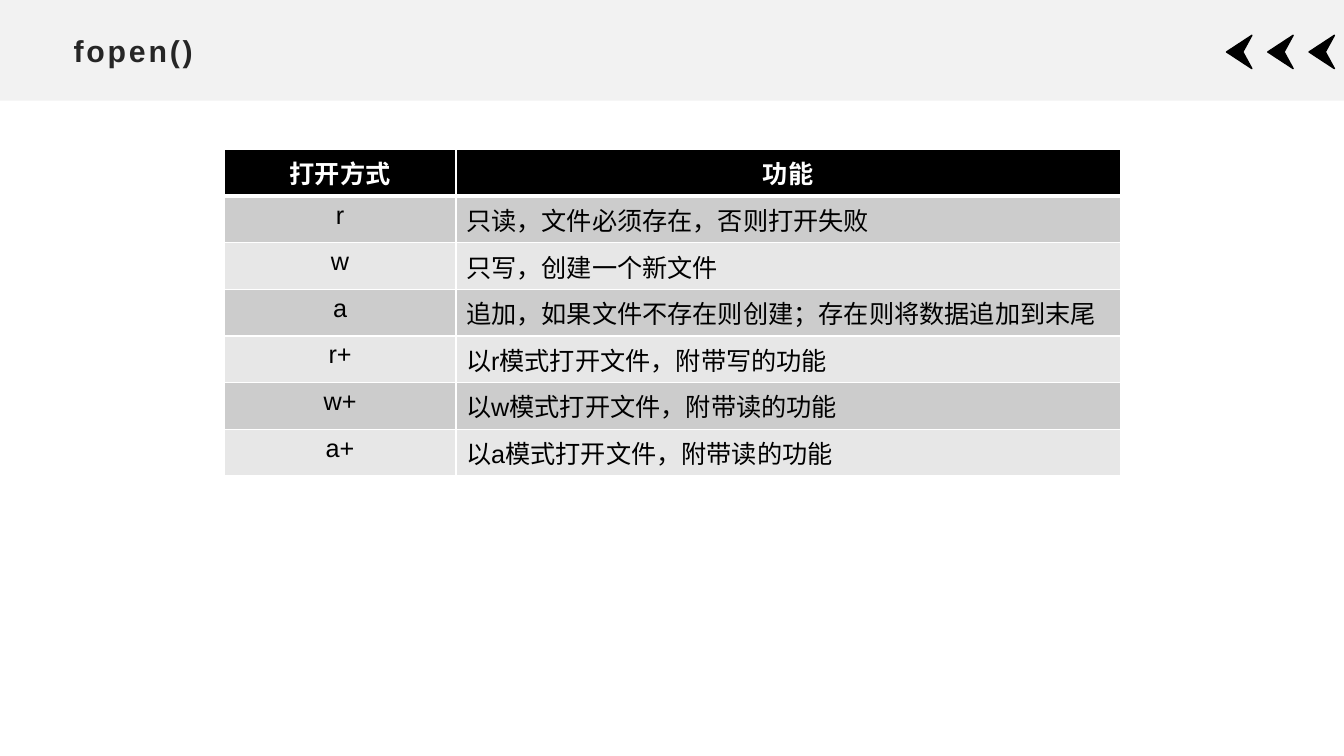
from lxml.etree import SubElement
from pptx import Presentation
from pptx.dml.color import RGBColor
from pptx.enum.shapes import MSO_SHAPE
from pptx.enum.text import MSO_ANCHOR, MSO_AUTO_SIZE, PP_ALIGN
from pptx.oxml.ns import qn
from pptx.util import Cm, Pt

COLORS = {
    "band": "F2F2F2",
    "title": "262626",
    "black": "000000",
    "white": "FFFFFF",
    "odd_row": "CCCCCC",
    "even_row": "E7E7E7",
}
HEADINGS = ("打开方式", "功能")
MODES = [
    ("r", "只读，文件必须存在，否则打开失败"),
    ("w", "只写，创建一个新文件"),
    ("a", "追加，如果文件不存在则创建；存在则将数据追加到末尾"),
    ("r+", "以r模式打开文件，附带写的功能"),
    ("w+", "以w模式打开文件，附带读的功能"),
    ("a+", "以a模式打开文件，附带读的功能"),
]


def color(name):
    """Return the named colour."""
    return RGBColor.from_string(COLORS[name])


def set_values(target, values):
    """Set each attribute of the target from a dict."""
    for attribute, value in values.items():
        setattr(target, attribute, value)


def write(frame, text, size, ink, bold, align):
    """Put one formatted run in a text frame and return it."""
    paragraph = frame.paragraphs[0]
    paragraph.alignment = align
    run = paragraph.add_run()
    run.text = text
    set_values(run.font, {"name": "Arial", "size": Pt(size), "bold": bold})
    run.font.color.rgb = color(ink)
    return run


def add_band(slide, width):
    """Draw the grey band behind the title."""
    band = slide.shapes.add_shape(MSO_SHAPE.RECTANGLE, 0, 0, width, Cm(2.54))
    band.shadow.inherit = False
    band.fill.solid()
    band.fill.fore_color.rgb = color("band")
    band.line.fill.background()


def add_arrowhead(slide, tip):
    """Draw one notched arrowhead that points left."""
    outline = slide.shapes.build_freeform(Cm(tip), Cm(1.31))
    corners = [(0.64, 0.89), (0.41, 1.31), (0.64, 1.73)]
    outline.add_line_segments([(Cm(tip + x), Cm(y)) for x, y in corners])
    arrowhead = outline.convert_to_shape()
    arrowhead.shadow.inherit = False
    arrowhead.fill.solid()
    arrowhead.fill.fore_color.rgb = color("black")
    arrowhead.line.color.rgb = color("black")
    arrowhead.line.width = Pt(1)


def format_title(slide):
    """Place the title above the band and write its text."""
    title = slide.shapes.title
    title.element.getparent().append(title.element)
    set_values(title, {"left": Cm(1.6), "top": Cm(0.66),
                       "width": Cm(30.66), "height": Cm(1.22)})
    set_values(title.text_frame, {"vertical_anchor": MSO_ANCHOR.MIDDLE,
                                  "auto_size": MSO_AUTO_SIZE.NONE,
                                  "word_wrap": True})
    run = write(title.text_frame, "fopen()", 21.6, "title", True, PP_ALIGN.LEFT)
    run.font.element.set("spc", "200") if hasattr(run.font, "element") else \
        run._r.get_or_add_rPr().set("spc", "200")


def add_borders(cell, row):
    """Give a cell white borders, thick between heading and body."""
    widths = {"L": 1, "R": 1, "T": 3 if row == 1 else 1, "B": 3 if row == 0 else 1}
    for side, width in widths.items():
        border = SubElement(cell._tc.get_or_add_tcPr(), qn(f"a:ln{side}"), w=str(Pt(width)))
        fill = SubElement(border, qn("a:solidFill"))
        SubElement(fill, qn("a:srgbClr"), val=COLORS["white"])


def fill_cell(cell, text, row, column):
    """Write and colour one cell by its place in the table."""
    heading = row == 0
    background = "black" if heading else "odd_row" if row % 2 else "even_row"
    align = PP_ALIGN.CENTER if heading or column == 0 else PP_ALIGN.LEFT
    write(cell.text_frame, text, 18, "white" if heading else "black", heading, align)
    add_borders(cell, row)
    cell.fill.solid()
    cell.fill.fore_color.rgb = color(background)


def add_mode_table(slide):
    """Build the table of opening modes."""
    rows = [HEADINGS, *MODES]
    table = slide.shapes.add_table(
        len(rows), len(HEADINGS), Cm(5.65), Cm(3.77), Cm(22.58), Cm(8.15)).table
    for column, width in zip(table.columns, (5.84, 16.74)):
        column.width = Cm(width)
    for row, texts in enumerate(rows):
        table.rows[row].height = Cm(1.17 if row else 1.13)
        for column, text in enumerate(texts):
            fill_cell(table.cell(row, column), text, row, column)


def main():
    """Build and save the slide."""
    presentation = Presentation()
    set_values(presentation, {"slide_width": Cm(33.87), "slide_height": Cm(19.05)})
    slide = presentation.slides.add_slide(presentation.slide_layouts[5])
    add_band(slide, presentation.slide_width)
    for index in range(3):
        add_arrowhead(slide, 30.91 + 1.04 * index)
    format_title(slide)
    add_mode_table(slide)
    presentation.save("out.pptx")


if __name__ == "__main__":
    main()
